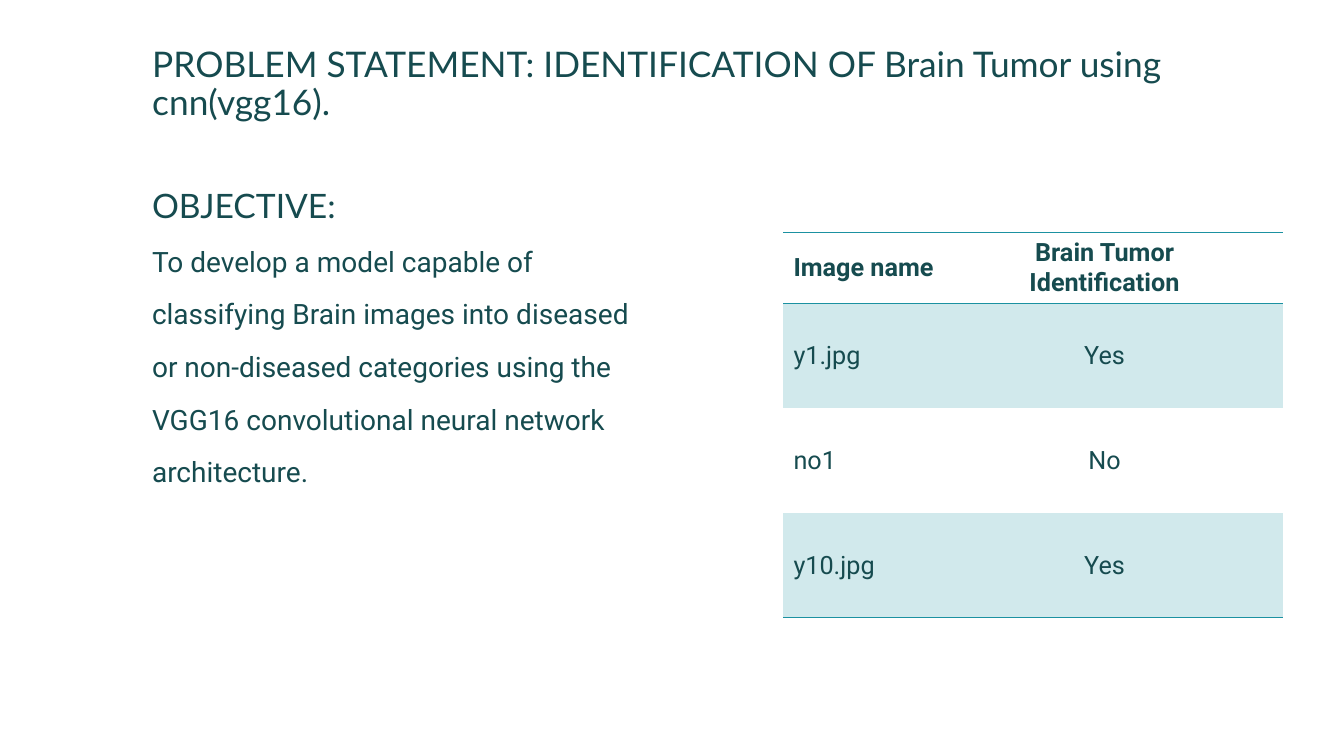
from lxml.etree import SubElement
from pptx import Presentation
from pptx.dml.color import RGBColor
from pptx.enum.text import MSO_ANCHOR, MSO_AUTO_SIZE, PP_ALIGN
from pptx.oxml.ns import qn
from pptx.util import Inches, Pt

DARK_TEAL = RGBColor(0x16, 0x4B, 0x4F)
TEAL = RGBColor(0x1B, 0x91, 0xA1)
PALE_TEAL = RGBColor(0xD1, 0xE9, 0xEC)
NO_TABLE_STYLE = "{2D5ABB26-0587-4C30-8999-92F81FD0307C}"


def write(para, text, size, font="Roboto", bold=False, align=PP_ALIGN.LEFT,
          line_spacing=1.0, space_before=0):
    para.alignment = align
    para.line_spacing = line_spacing
    para.space_before = Pt(space_before)
    span = para.add_run()
    span.text = text
    span.font.name = font
    span.font.size = Pt(size)
    span.font.bold = bold
    span.font.color.rgb = DARK_TEAL


def add_border(cell, *sides):
    """Draw thin teal lines on the given sides (lnT, lnB) of a cell."""
    properties = cell._tc.get_or_add_tcPr()
    for position, side in enumerate(sides):
        line = SubElement(properties, qn(f"a:{side}"), w=str(Pt(1)))
        fill = SubElement(line, qn("a:solidFill"))
        SubElement(fill, qn("a:srgbClr"), val=str(TEAL))
        properties.remove(line)
        properties.insert(position, line)  # borders precede the cell fill


deck = Presentation()
deck.slide_width = Inches(13.33)
deck.slide_height = Inches(7.5)
page = deck.slides.add_slide(deck.slide_layouts[5])

# Title
title = page.shapes.title
title.left, title.top = Inches(1.41), Inches(0.42)
title.width, title.height = Inches(10.5), Inches(1.25)
title.text_frame.word_wrap = True
title.text_frame.auto_size = MSO_AUTO_SIZE.NONE
title.text_frame.vertical_anchor = MSO_ANCHOR.TOP
write(title.text_frame.paragraphs[0],
      "PROBLEM STATEMENT: IDENTIFICATION OF Brain Tumor using cnn(vgg16).",
      25.2, font="Lato", line_spacing=0.9)

# Objective
objective = page.shapes.add_textbox(Inches(1.41), Inches(1.83), Inches(5.14), Inches(4.92))
frame = objective.text_frame
frame.word_wrap = True
write(frame.paragraphs[0], "OBJECTIVE:", 24, font="Lato", line_spacing=0.9, space_before=16)
for text in (
    "To develop a model capable of",
    "classifying Brain images into diseased",
    "or non-diseased categories using the",
    "VGG16 convolutional neural network",
    "architecture.",
):
    write(frame.add_paragraph(), text, 20, line_spacing=0.9, space_before=16)

# Results table, with a narrow empty column at the right
results = [
    ("Image name", "Brain Tumor Identification", ""),
    ("y1.jpg", "Yes", ""),
    ("no1", "No", ""),
    ("y10.jpg", "Yes", ""),
]
table_frame = page.shapes.add_table(len(results), 3, Inches(7.77), Inches(2.31),
                                    Inches(4.96), Inches(3.81))
table = table_frame.table
table._tbl.tblPr.find(qn("a:tableStyleId")).text = NO_TABLE_STYLE
for column, width in zip(table.columns, (1.65, 3.07, 0.24)):
    column.width = Inches(width)
for row, height in zip(table.rows, (0.69, 1.04, 1.04, 1.04)):
    row.height = Inches(height)

for row_index, values in enumerate(results):
    for column_index, text in enumerate(values):
        cell = table.cell(row_index, column_index)
        cell.vertical_anchor = MSO_ANCHOR.MIDDLE
        if text:
            write(cell.text_frame.paragraphs[0], text, 18, bold=row_index == 0,
                  align=PP_ALIGN.CENTER if column_index == 1 else PP_ALIGN.LEFT)
        if row_index % 2:
            cell.fill.solid()
            cell.fill.fore_color.rgb = PALE_TEAL
        else:
            cell.fill.background()
        if row_index == 0:
            add_border(cell, "lnT", "lnB")
        elif row_index == len(results) - 1:
            add_border(cell, "lnB")

deck.save("out.pptx")
